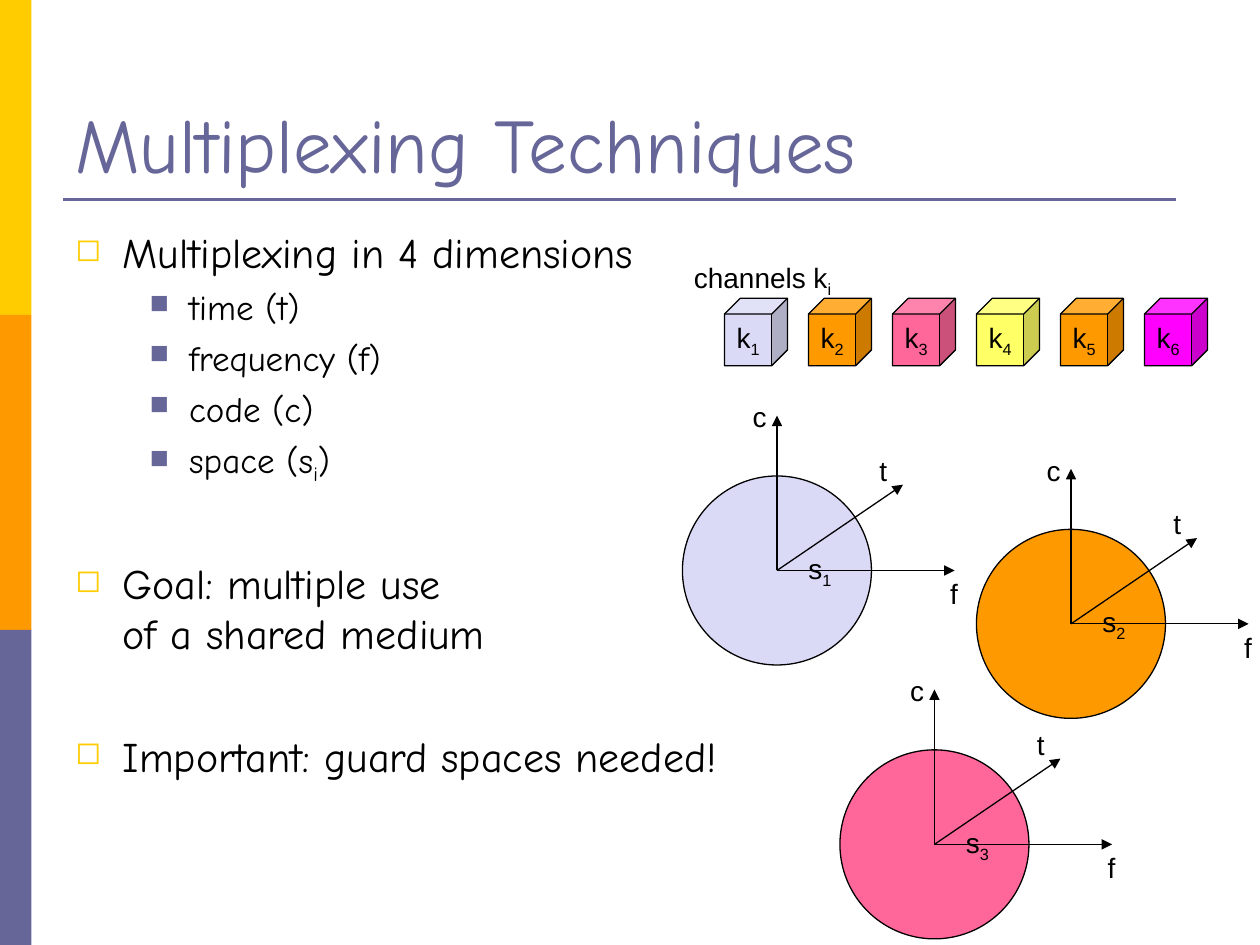
from lxml.etree import SubElement as Sub
from pptx import Presentation
from pptx.dml.color import RGBColor
from pptx.enum.shapes import MSO_CONNECTOR as Link, MSO_SHAPE as Shape
from pptx.enum.text import MSO_ANCHOR as Anchor, PP_ALIGN as Align
from pptx.oxml.ns import qn
from pptx.util import Pt

BLACK, SLATE, GOLD, AMBER = "000000", "666699", "FFCC00", "FF9900"
LILAC, PINK, LEMON, PURPLE = "DADAF6", "FF6699", "FFFF66", "FF00FF"

LABEL = {"name": "Arial", "size": Pt(16)}
TITLE = {"name": "Comic Neue", "size": Pt(44)}
POINT = {"name": "Comic Neue", "size": Pt(24)}
ITEM = {"name": "Comic Neue", "size": Pt(20)}

# bullet sign, its colour, left margin, hanging indent, font
LEVELS = [("◻", GOLD, 27, 27, POINT), ("■", SLATE, 65, 22.5, ITEM)]

# level, space before, text
POINTS = [
    (0, 0, "Multiplexing in 4 dimensions"),
    (1, 5, "time (t)"),
    (1, 5, "frequency (f)"),
    (1, 5, "code (c)"),
    (1, 5, "space (s_i_)"),
    (0, 41, "Goal: multiple use\vof a shared medium"),
    (0, 41, "Important: guard spaces needed!"),
]

# centre and colour of each space
SPACES = [(444, 326, LILAC), (612, 356.5, AMBER), (534, 482.5, PINK)]

# name, arrow tip, label place and label width, all from the centre
AXES = [
    ("t", 72, -49, 51, -70.5, 19),
    ("c", 0, -88.5, -21, -101, 22),
    ("f", 101.5, 0, 91.5, 0, 19),
]


def paint(target, color):
    target.solid()
    target.fore_color.rgb = RGBColor.from_string(color)


def apply(target, style):
    for name, value in style.items():
        setattr(target, name, value)


def write(para, text, style, color=BLACK):
    """Fill a paragraph; each second part between underscores is a subscript."""
    first, *rest = text.split("_")
    para.text = first
    for index, part in enumerate(rest):
        run = para.add_run()
        run.text = part
        if index % 2 == 0:
            run.font._element.set("baseline", "-25000")
    for run in para.runs:
        apply(run.font, style)
        paint(run.font.fill, color)


def add_text(slide, box, text, style, color=BLACK, frame={}, align=Align.LEFT):
    area = slide.shapes.add_textbox(*map(Pt, box)).text_frame
    apply(area, {"word_wrap": True, **frame})
    para = area.paragraphs[0]
    para.alignment = align
    write(para, text, style, color)


def add_label(slide, box, text):
    add_text(slide, box, text, LABEL, frame={"word_wrap": False}, align=Align.RIGHT)


def add_shape(slide, kind, box, color, text="", align=Align.CENTER):
    shape = slide.shapes.add_shape(kind, *map(Pt, box))
    shape.shadow.inherit = False
    paint(shape.fill, color)
    if not text:
        shape.line.fill.background()
        return
    paint(shape.line.fill, BLACK)
    shape.line.width = Pt(0.75)
    area = shape.text_frame
    apply(area, {"vertical_anchor": Anchor.MIDDLE,
                 "word_wrap": align == Align.RIGHT})
    para = area.paragraphs[0]
    para.alignment = align
    write(para, text, LABEL)


def add_line(slide, ends, color=BLACK, width=0.75, arrow=False):
    line = slide.shapes.add_connector(Link.STRAIGHT, *map(Pt, ends))
    paint(line.line.fill, color)
    line.line.width = Pt(width)
    if arrow:
        Sub(line.line._get_or_add_ln(), qn("a:tailEnd"), type="triangle")
    Sub(line._element.spPr, qn("a:effectLst"))


def add_bullet(para, level):
    sign, color, left, hang, _ = LEVELS[level]
    props = para._p.get_or_add_pPr()
    props.set("marL", str(Pt(left)))
    props.set("indent", str(-Pt(hang)))
    Sub(Sub(props, qn("a:buClr")), qn("a:srgbClr"), val=color)
    Sub(props, qn("a:buSzPct"), val="75000")
    Sub(props, qn("a:buChar"), char=sign)


def add_points(slide, box):
    area = slide.shapes.add_textbox(*map(Pt, box)).text_frame
    area.word_wrap = True
    for index, (level, gap, text) in enumerate(POINTS):
        para = area.add_paragraph() if index else area.paragraphs[0]
        para.level = level
        para.space_before = Pt(gap)
        add_bullet(para, level)
        write(para, text, LEVELS[level][-1])


def add_space(slide, number, x, y, color):
    """Draw one space as a disc with its time, code and frequency axes."""
    add_shape(slide, Shape.OVAL, (x - 54, y - 54, 108, 108), color,
              f"s_{number}", Align.RIGHT)
    for name, tip_x, tip_y, left, top, width in AXES:
        add_line(slide, (x, y, x + tip_x, y + tip_y), arrow=True)
        add_label(slide, (x + left, y + top, width, 26.5), name)


def main():
    deck = Presentation()
    deck.slide_width, deck.slide_height = Pt(720), Pt(540)
    slide = deck.slides.add_slide(deck.slide_layouts[6])

    for index, color in enumerate((GOLD, AMBER, SLATE)):
        add_shape(slide, Shape.RECTANGLE, (0, 180 * index, 18, 180), color)
    add_line(slide, (36, 114, 672, 114), SLATE, 1.5)
    add_text(slide, (36, 21.5, 648, 90), "Multiplexing Techniques", TITLE, SLATE,
             {"vertical_anchor": Anchor.BOTTOM})
    add_points(slide, (36, 126, 648, 356.5))

    add_label(slide, (389, 145.5, 93, 29.5), "channels k_i")
    for index, color in enumerate((LILAC, AMBER, PINK, LEMON, AMBER, PURPLE)):
        add_shape(slide, Shape.CUBE, (414 + 48 * index, 170.5, 36, 38.5), color,
                  f"k_{index + 1}")
    for number, space in enumerate(SPACES, 1):
        add_space(slide, number, *space)

    deck.save("out.pptx")


if __name__ == "__main__":
    main()
